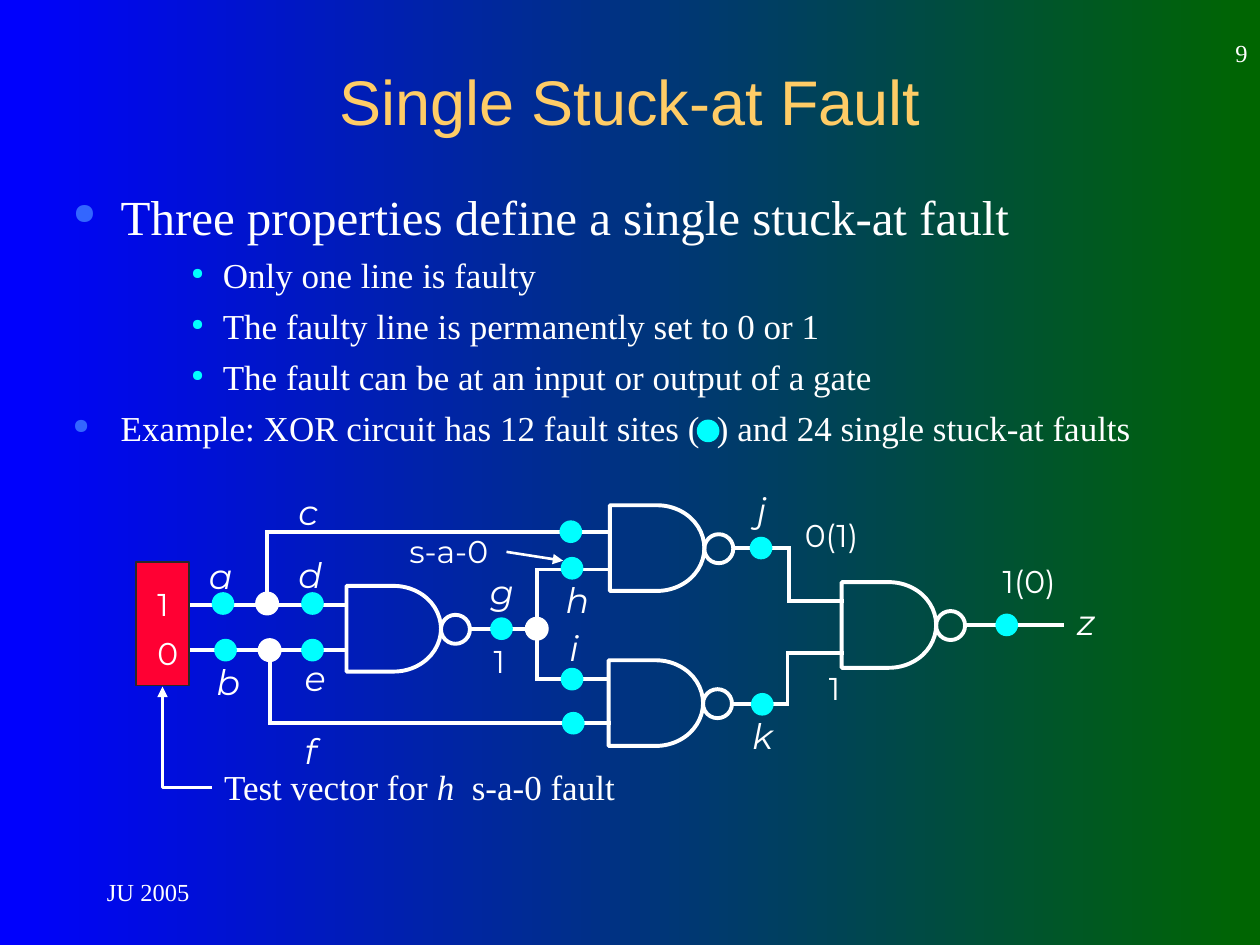
from itertools import pairwise
from typing import NamedTuple

from pptx import Presentation
from pptx.dml.color import RGBColor
from pptx.enum.shapes import MSO_CONNECTOR, MSO_SHAPE
from pptx.enum.text import MSO_ANCHOR, MSO_AUTO_SIZE, PP_ALIGN
from pptx.oxml.ns import qn
from pptx.util import Inches, Pt
from lxml import etree

STRAIGHT, ELBOW = MSO_CONNECTOR.STRAIGHT, MSO_CONNECTOR.ELBOW
RECT, OVAL, DELAY = MSO_SHAPE.RECTANGLE, MSO_SHAPE.OVAL, MSO_SHAPE.FLOWCHART_DELAY
MIDDLE, GROW = MSO_ANCHOR.MIDDLE, MSO_AUTO_SIZE.SHAPE_TO_FIT_TEXT
LEFT, CENTER, RIGHT = PP_ALIGN.LEFT, PP_ALIGN.CENTER, PP_ALIGN.RIGHT

COLORS = {
    "white": "FFFFFF", "cyan": "00FFFF", "blue": "0000FF", "green": "006600",
    "gold": "FFCC66", "red": "FF0033", "edge": "292929", "bullet": "3366FF",
}
SERIF, SANS, HEAD = "Times New Roman", "Montserrat", "Arial"
DOT = 0.18      # fault site and branch point
RING = 0.23     # inverting bubble


class Label(NamedTuple):
    text: str
    x: float
    y: float
    width: float
    wrap: bool = False


class Item(NamedTuple):
    text: str
    size: int
    before: int
    margin: float
    hang: float
    scale: int
    color: str


def rgb(name: str) -> RGBColor:
    return RGBColor.from_string(COLORS[name])


def style(font, face: str, size: float, color: str = "white", italic: bool = False):
    font.name, font.size, font.italic = face, Pt(size), italic
    font.color.rgb = rgb(color)


def add_box(x: float, y: float, w: float, h: float, wrap: bool = True):
    box = slide.shapes.add_textbox(Inches(x), Inches(y), Inches(w), Inches(h))
    box.text_frame.word_wrap = wrap
    return box.text_frame


def add_line(text: str, x: float, y: float, w: float, h: float,
             face: str, size: int, color: str, align):
    frame = add_box(x, y, w, h)
    frame.vertical_anchor = MIDDLE
    frame.text = text
    frame.paragraphs[0].alignment = align
    style(frame.paragraphs[0].runs[0].font, face, size, color)


def add_label(label: Label, size: int, height: float, italic: bool):
    frame = add_box(label.x, label.y, label.width, height, label.wrap)
    frame.auto_size = GROW
    frame.text = label.text
    style(frame.paragraphs[0].runs[0].font, SANS, size, italic=italic)


def add_item(para, item: Item):
    para.text = item.text
    if item.before:
        para.space_before = Pt(item.before)
    props = para._p.get_or_add_pPr()
    props.set("marL", str(Inches(item.margin)))
    props.set("indent", str(-Inches(item.hang)))
    tint = etree.SubElement(props, qn("a:buClr"))
    etree.SubElement(tint, qn("a:srgbClr")).set("val", COLORS[item.color])
    etree.SubElement(props, qn("a:buSzPct")).set("val", str(item.scale * 1000))
    etree.SubElement(props, qn("a:buChar")).set("char", "●")
    style(para.runs[0].font, SERIF, item.size)


def add_form(kind, x: float, y: float, w: float, h: float,
             fill: str = "", line: str = "", width: float = 0.75):
    form = slide.shapes.add_shape(kind, Inches(x), Inches(y), Inches(w), Inches(h))
    form.shadow.inherit = False
    if fill:
        form.fill.solid()
        form.fill.fore_color.rgb = rgb(fill)
    else:
        form.fill.background()
    if line:
        form.line.color.rgb = rgb(line)
        form.line.width = Pt(width)
    else:
        form.line.fill.background()


def add_link(start: tuple, end: tuple, width: float = 2.25, kind=STRAIGHT,
             arrow: bool = False):
    link = slide.shapes.add_connector(kind, *map(Inches, start + end))
    link.line.color.rgb = rgb("white")
    link.line.width = Pt(width)
    props = link._element.spPr
    ln = props.find(qn("a:ln"))
    if arrow:
        etree.SubElement(ln, qn("a:tailEnd")).set("type", "triangle")
    else:
        ln.set("cap", "sq")
    etree.SubElement(props, qn("a:effectLst"))
    return link


prs = Presentation()
prs.slide_width, prs.slide_height = Inches(10), Inches(7.5)
slide = prs.slides.add_slide(prs.slide_layouts[6])

# Background
back = slide.background.fill
back.gradient()
back.gradient_angle = 0
for stop, (place, name) in zip(back.gradient_stops, [(0, "blue"), (1, "green")]):
    stop.position = place
    stop.color.rgb = rgb(name)

# Title, page number and footer
add_line("Single Stuck-at Fault", 0.75, 0.17, 8.5, 1.25, HEAD, 36, "gold", CENTER)
add_line("9", 7.92, 0.17, 2.08, 0.5, SERIF, 14, "white", RIGHT)
add_line("JU 2005", 0.75, 6.83, 2.08, 0.5, SERIF, 14, "white", LEFT)

# Bullet list
TOP = (0.38, 0.38, 60, "bullet")
SUB = (1.19, 0.25, 45, "cyan")
ITEMS = [
    Item("Three properties define a single stuck-at fault", 28, 0, *TOP),
    Item("Only one line is faulty", 20, 5, *SUB),
    Item("The faulty line is permanently set to 0 or 1", 20, 5, *SUB),
    Item("The fault can be at an input or output of a gate", 20, 5, *SUB),
    Item("Example: XOR circuit has 12 fault sites (  ) and 24 single stuck-at faults",
         20, 5, *TOP),
]
body = add_box(0.48, 1.43, 9.19, 2.39)
for i, item in enumerate(ITEMS):
    add_item(body.add_paragraph() if i else body.paragraphs[0], item)

# Test vector block
add_form(RECT, 1.08, 4.46, 0.42, 0.98, "red", "edge")

# Wires, each a chain of corners
WIRES = [
    [(1.52, 4.8), (2.75, 4.8)],
    [(1.52, 5.16), (2.75, 5.16)],
    [(4.83, 4.22), (2.12, 4.22), (2.12, 4.8)],
    [(4.83, 5.74), (2.14, 5.74), (2.14, 5.16)],
    [(3.75, 4.99), (4.26, 4.99)],
    [(4.83, 4.52), (4.26, 4.52), (4.26, 5.39), (4.82, 5.39)],
    [(5.83, 4.35), (6.26, 4.35), (6.26, 4.77), (6.68, 4.77)],
    [(5.83, 5.59), (6.25, 5.59), (6.25, 5.18), (6.68, 5.18)],
    [(7.68, 4.96), (8.43, 4.96)],
]
for wire in WIRES:
    for start, end in pairwise(wire):
        add_link(start, end)

# NAND gates: body and bubble
for x, y in [(2.75, 4.65), (4.84, 4.01), (4.83, 5.24), (6.68, 4.62)]:
    add_form(DELAY, x, y, 0.75, 0.68, line="white", width=2.25)
    add_form(OVAL, x + 0.75, y + 0.23, RING, RING, line="white", width=2.25)

# Fault sites, the first one between the parentheses of the list text
SITES = [
    (5.53, 3.33), (1.68, 4.7), (1.7, 5.07), (2.39, 4.7), (2.39, 5.07), (3.89, 4.9),
    (4.44, 4.13), (4.45, 4.42), (4.45, 5.3), (4.46, 5.65), (5.95, 4.26),
    (5.96, 5.5), (7.9, 4.87),
]
for x, y in SITES:
    add_form(OVAL, x, y, DOT, DOT, "cyan")

# Branch points
for x, y in [(2.03, 4.7), (2.05, 5.07), (4.17, 4.9)]:
    add_form(OVAL, x, y, DOT, DOT, "white", "white")

# Line names
NAMES = [
    Label("a", 1.56, 4.35, 0.43), Label("b", 1.62, 5.19, 0.43),
    Label("c", 2.27, 3.84, 0.32), Label("d", 2.27, 4.34, 0.43),
    Label("e", 2.32, 5.16, 0.41), Label("f", 2.32, 5.74, 0.48, True),
    Label("g", 3.79, 4.48, 0.43), Label("h", 4.39, 4.54, 0.43),
    Label("i", 4.42, 4.92, 0.34), Label("j", 5.91, 3.83, 0.34),
    Label("k", 5.87, 5.62, 0.41), Label("z", 8.45, 4.72, 0.39),
]
for name in NAMES:
    add_label(name, 20, 0.44, True)

# Signal values
VALUES = [
    Label("1", 1.15, 4.59, 0.34), Label("0", 1.15, 4.98, 0.34),
    Label("1", 3.82, 5.05, 0.34), Label("s-a-0", 3.15, 4.17, 0.87, True),
    Label("0(1)", 6.29, 4.05, 0.63), Label("1(0)", 7.86, 4.41, 0.63),
    Label("1", 6.48, 5.26, 0.34),
]
for value in VALUES:
    add_label(value, 18, 0.4, False)

# Fault arrow and test vector note
add_link((4.02, 4.38), (4.47, 4.45), 1.5, arrow=True)
bend = add_link((1.29, 5.45), (1.68, 6.25), 1.5, ELBOW, arrow=True)
shape = bend._element.spPr
shape.find(qn("a:prstGeom")).set("prst", "bentConnector2")
shape.find(qn("a:xfrm")).set("rot", str(180 * 60000))

note = add_box(1.68, 6.03, 3.32, 0.44, False)
note.auto_size = GROW
for part in ["Test vector for ", "h", "  s-a-0 fault"]:
    run = note.paragraphs[0].add_run()
    run.text = part
    style(run.font, SERIF, 20, italic=part == "h")

prs.save("out.pptx")
